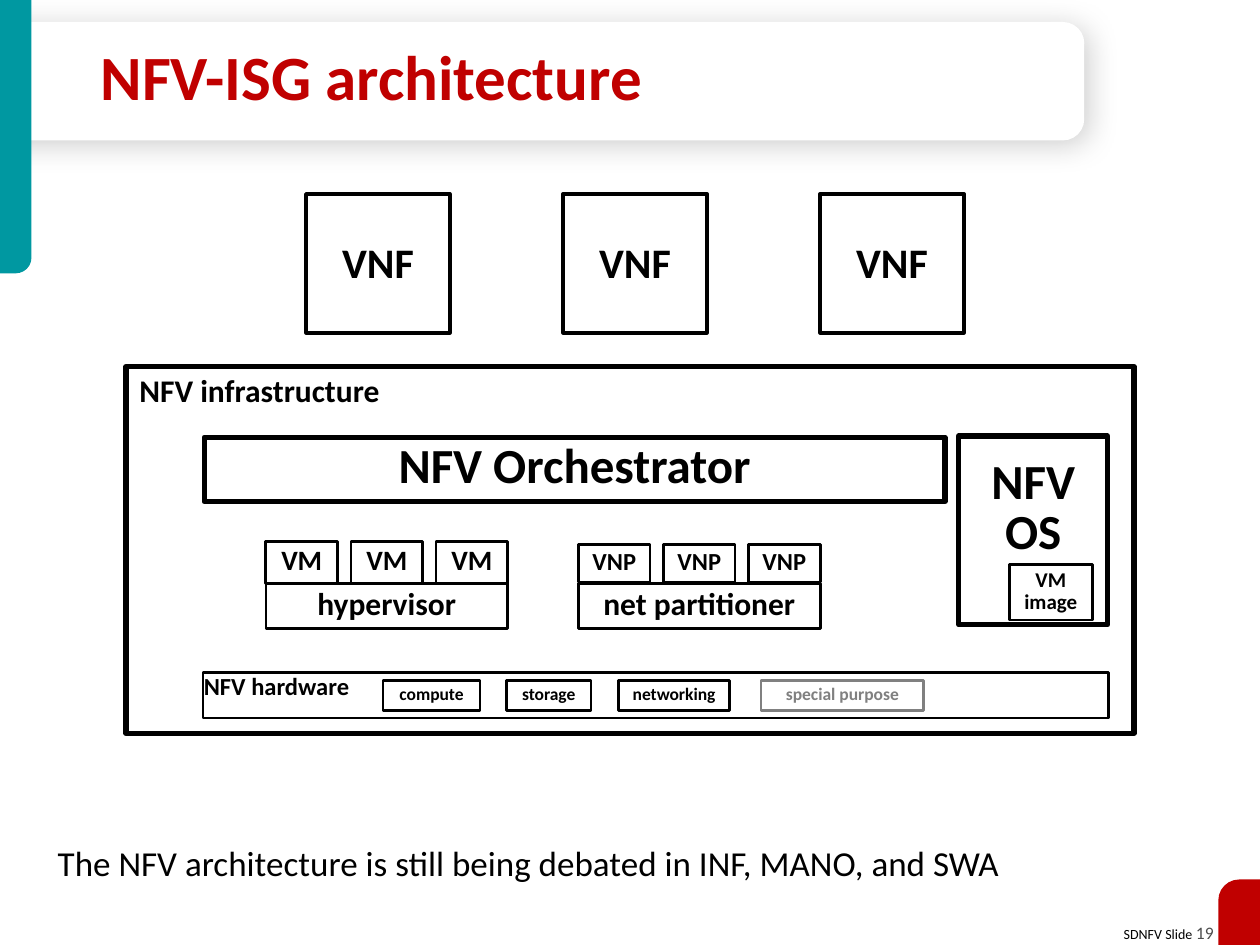
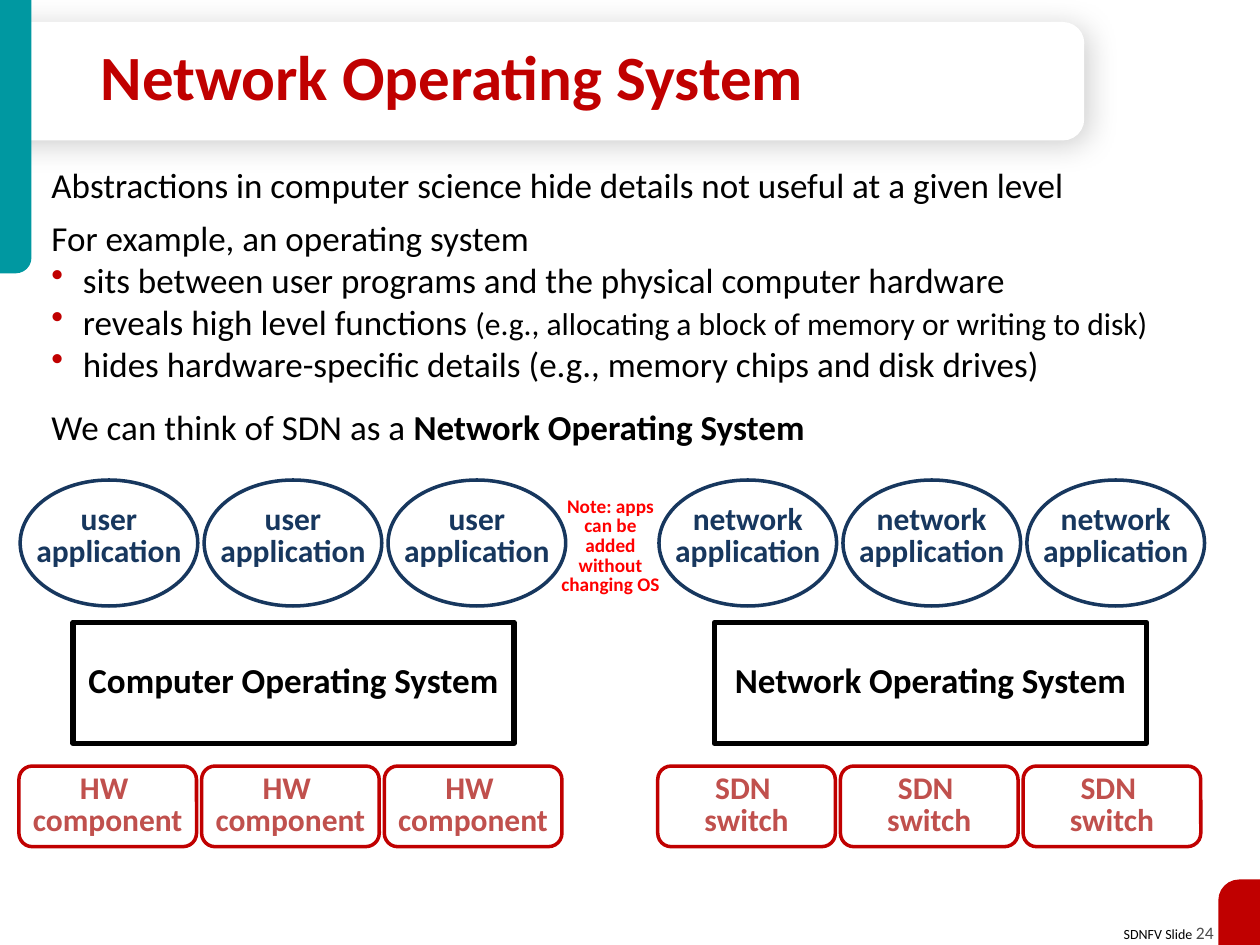
from lxml.etree import SubElement
from pptx import Presentation
from pptx.dml.color import RGBColor
from pptx.enum.shapes import MSO_SHAPE
from pptx.enum.text import MSO_ANCHOR, PP_ALIGN
from pptx.oxml.ns import qn
from pptx.util import Inches, Pt

BLACK, WHITE, GRAY, DARK = "000000", "FFFFFF", "808080", "4D4D4D"
RED, TEAL, NAVY, ROSE, ALERT = "C00000", "0098A1", "17375E", "C0504D", "FF0000"
FONT = "Calibri"


def rgb(code):
    """Turn a hex string into a colour."""
    return RGBColor.from_string(code)


def add_run(para, text, size=20, color=BLACK, bold=False):
    """Add one run of text with its format."""
    run = para.add_run()
    run.text = text
    run.font.name = FONT
    run.font.size = Pt(size)
    run.font.bold = bold
    run.font.color.rgb = rgb(color)


def add_bullet(para):
    """Give a paragraph a red bullet."""
    props = para._p.get_or_add_pPr()
    tint = SubElement(props, qn("a:buClr"))
    SubElement(tint, qn("a:srgbClr"), val=RED)
    SubElement(props, qn("a:buChar"), char="•")


def add_shadow(shape):
    """Cast a soft shadow down and to the right."""
    effects = shape._element.spPr.find(qn("a:effectLst"))
    outer = SubElement(effects, qn("a:outerShdw"), blurRad=str(Pt(17)),
                       dist=str(Pt(3)), dir="2700000", algn="tl", rotWithShape="0")
    tint = SubElement(outer, qn("a:srgbClr"), val=BLACK)
    SubElement(tint, qn("a:alpha"), val="19000")


class Deck:
    """Hold the shared style and the current slide."""

    def __init__(self):
        """Start an empty deck."""
        self.show = Presentation()
        self.show.slide_width = Inches(10)
        self.show.slide_height = Inches(7.5)
        self.slide = None

    def page(self, title, number):
        """Add a slide with its bands, title and footer."""
        self.slide = self.show.slides.add_slide(self.show.slide_layouts[6])
        foot = self.frame(8.79, 7.27, 0.94, 0.27)
        foot.word_wrap = False
        para = foot.paragraphs[0]
        para.alignment = PP_ALIGN.RIGHT
        add_run(para, "SDNFV Slide ", size=8)
        add_run(para, str(number), size=10, color=DARK)

        band = self.shape(3.83, -3.66, 0.94, 8.61, kind=MSO_SHAPE.ROUND_2_SAME_RECTANGLE,
                          fill=WHITE, line=None)
        band.adjustments[0] = 0.18
        band.rotation = 90
        add_shadow(band)
        self.tab(0, 0, 0.25, 2.17, TEAL, "flipV")
        self.tab(9.67, 6.98, 0.33, 0.52, RED, "flipH")

        head = self.frame(0.7, 0.29, 7.4, 0.71)
        head.vertical_anchor = MSO_ANCHOR.MIDDLE
        head.paragraphs[0].line_spacing = 0.85
        add_run(head.paragraphs[0], title, size=36, color=RED, bold=True)

    def frame(self, x, y, w, h):
        """Add a text box that wraps and return its frame."""
        box = self.slide.shapes.add_textbox(Inches(x), Inches(y), Inches(w), Inches(h))
        box.text_frame.word_wrap = True
        return box.text_frame

    def shape(self, x, y, w, h, kind=MSO_SHAPE.RECTANGLE, fill=None, line=BLACK, width=1.5):
        """Add a flat preset shape."""
        shape = self.slide.shapes.add_shape(kind, Inches(x), Inches(y), Inches(w), Inches(h))
        shape.shadow.inherit = False
        if fill:
            shape.fill.solid()
            shape.fill.fore_color.rgb = rgb(fill)
        else:
            shape.fill.background()
        if line:
            shape.line.color.rgb = rgb(line)
            shape.line.width = Pt(width)
        else:
            shape.line.fill.background()
        return shape

    def tab(self, x, y, w, h, fill, flip):
        """Add a corner tab with one round corner."""
        tab = self.shape(x, y, w, h, kind=MSO_SHAPE.ROUND_1_RECTANGLE, fill=fill, line=None)
        tab.adjustments[0] = 0.5
        tab._element.spPr.xfrm.set(flip, "1")

    def center(self, frame, text, **form):
        """Fill a frame with centred bold lines."""
        frame.vertical_anchor = MSO_ANCHOR.TOP
        for i, line in enumerate(text.split("\n")):
            para = frame.add_paragraph() if i else frame.paragraphs[0]
            para.alignment = PP_ALIGN.CENTER
            para.line_spacing = 0.85
            add_run(para, line, bold=True, **form)

    def label(self, text, x, y, w, h, **form):
        """Add a centred bold label."""
        self.center(self.frame(x, y, w, h), text, **form)

    def block(self, text, x, y, w, h, size=18, color=BLACK, width=1.5, top=0.05):
        """Add an outlined box with its label."""
        shape = self.shape(x, y, w, h, line=color, width=width)
        shape.text_frame.margin_top = Inches(top)
        self.center(shape.text_frame, text, size=size, color=color)

    def body(self, x, y, w, h, lines):
        """Add body text from (space, bullet, runs) lines."""
        frame = self.frame(x, y, w, h)
        for i, (space, bullet, runs) in enumerate(lines):
            para = frame.add_paragraph() if i else frame.paragraphs[0]
            para.space_before = Pt(space)
            props = para._p.get_or_add_pPr()
            props.set("marL", str(Inches(0.25)))
            props.set("indent", str(Inches(-0.25)))
            if bullet:
                add_bullet(para)
            for text, form in runs:
                add_run(para, text, **form)

    def trio(self, text, x, y, step, kind, size, line, color, shift):
        """Add a row of three outlined shapes with labels."""
        w, h = size
        for i in range(3):
            left = x + i * step
            self.shape(left, y, w, h, kind=kind, line=line, width=2)
            self.label(text, left - 0.03, y + shift, w + 0.06, 0.62, size=18, color=color)


def draw_nfv(deck):
    """Draw the NFV architecture slide."""
    deck.page("NFV-ISG architecture", 19)
    deck.body(0.36, 6.63, 8.79, 0.58, [
        (6, False, [("The NFV architecture is still being debated in INF, MANO, and SWA", {})])])
    for i in range(3):
        deck.block("VNF", 2.43 + 2.04 * i, 1.54, 1.14, 1.1, size=24, width=2.25, top=0.4)

    deck.shape(1, 2.91, 8, 2.91, width=3)
    deck.label("NFV infrastructure", 1, 2.94, 2.12, 0.36, size=18)
    deck.block("NFV Orchestrator", 1.62, 3.47, 5.88, 0.51, size=28, width=3)

    for base, unit, x, y, h, size in (("hypervisor", "VM", 2.11, 4.3, 0.33, 16),
                                      ("net partitioner", "VNP", 4.59, 4.32, 0.3, 14)):
        deck.block(base, x, 4.63, 1.92, 0.36)
        for i in range(3):
            deck.block(unit, x + 0.675 * i, y, 0.57, h, size=size)

    deck.shape(1.61, 5.34, 7.19, 0.36)
    deck.label("NFV hardware", 1.47, 5.31, 1.45, 0.3, size=14)
    for text, x, w, color in (("compute", 3.04, 0.77, BLACK), ("storage", 4.02, 0.67, BLACK),
                              ("networking", 4.91, 0.88, BLACK),
                              ("special purpose", 6.04, 1.29, GRAY)):
        deck.block(text, x, 5.4, w, 0.24, size=10, color=color)

    deck.block("NFV OS", 7.61, 3.46, 1.18, 1.5, size=28, width=3, top=0.19)
    deck.block("VM\nimage", 8.01, 4.48, 0.66, 0.44, size=12)


def draw_nos(deck):
    """Draw the network operating system slide."""
    deck.page("Network Operating System", 24)
    deck.body(0.31, 1.25, 9.19, 2.36, [
        (0, False, [("Abstractions in computer science hide details not useful at a given level", {})]),
        (6, False, [("For example, an operating system", {})]),
        (0, True, [("sits between user programs and the physical computer hardware", {})]),
        (0, True, [("reveals high level functions ", {}),
                   ("(e.g., allocating a block of memory or writing to disk)", {"size": 18})]),
        (0, True, [("hides hardware-specific details (e.g., memory chips and disk drives)", {})]),
        (12, False, [("We can think of SDN as a ", {}),
                     ("Network Operating System", {"bold": True})])])

    for x, app, name, left, w, part in (
            (0.16, "user\napplication", "Computer Operating System", 0.58, 3.5, "HW \ncomponent"),
            (5.23, "network\napplication", "Network Operating System", 5.67, 3.43, "SDN \nswitch")):
        deck.trio(app, x, 3.81, 1.46, MSO_SHAPE.OVAL, (1.41, 1), NAVY, NAVY, 0.15)
        deck.block(name, left, 4.94, w, 0.96, size=20, width=3, top=0.34)
        deck.trio(part, x - 0.01, 6.08, 1.45, MSO_SHAPE.ROUNDED_RECTANGLE,
                  (1.41, 0.64), RED, ROSE, 0.01)
    deck.label("Note: apps can be added without changing OS", 4.34, 3.9, 1.01, 0.89,
               size=11, color=ALERT)


def main():
    """Build and save the deck."""
    deck = Deck()
    draw_nfv(deck)
    draw_nos(deck)
    deck.show.save("out.pptx")


if __name__ == "__main__":
    main()
